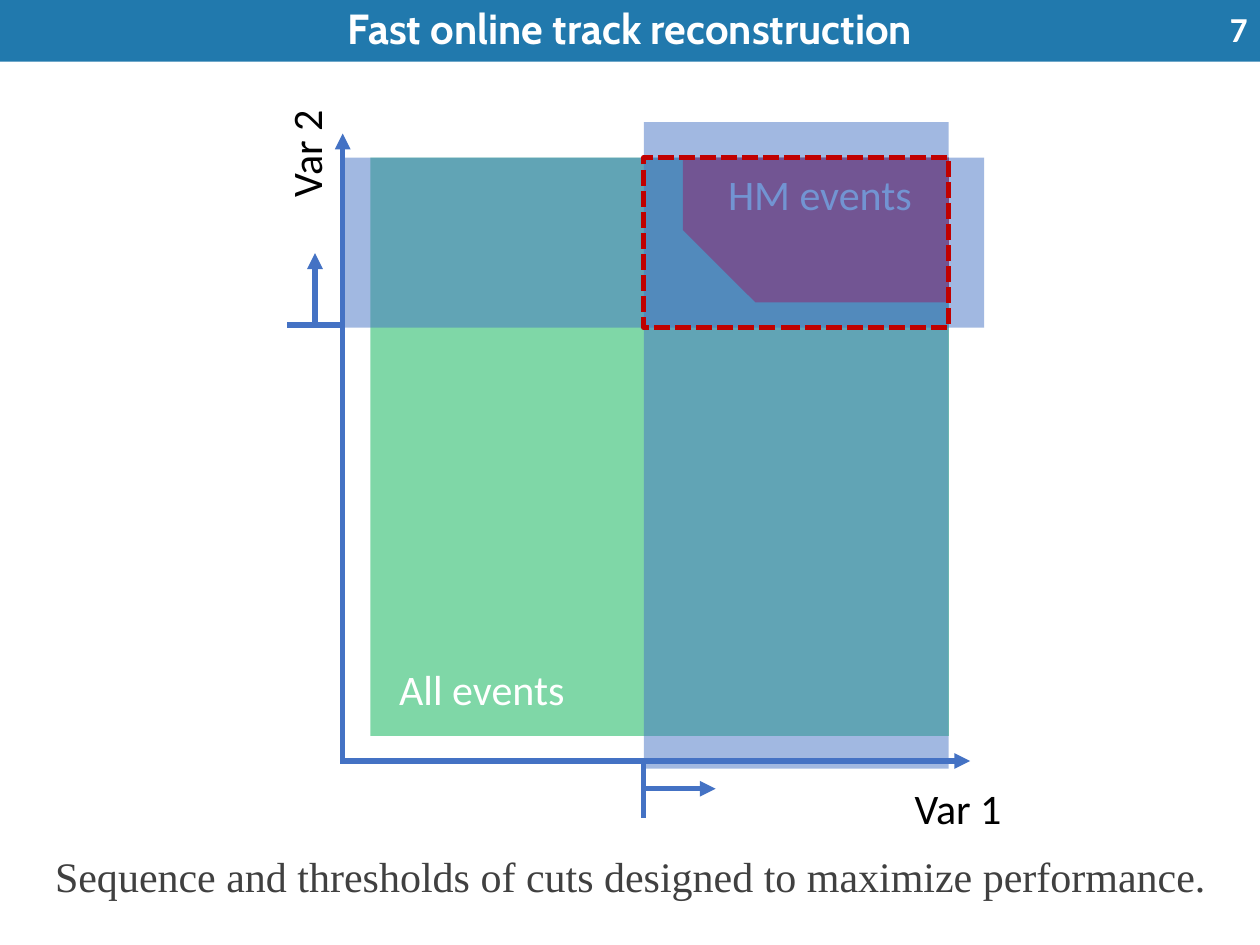
from lxml import etree
from pptx import Presentation
from pptx.dml.color import RGBColor
from pptx.enum.dml import MSO_LINE
from pptx.enum.shapes import MSO_CONNECTOR, MSO_SHAPE
from pptx.enum.text import MSO_ANCHOR, PP_ALIGN
from pptx.oxml.ns import qn
from pptx.util import Inches, Pt

RECT, SNIPPED = MSO_SHAPE.RECTANGLE, MSO_SHAPE.SNIP_1_RECTANGLE
STRAIGHT = MSO_CONNECTOR.STRAIGHT
SYS_DASH = MSO_LINE.SQUARE_DOT
LEFT, CENTER, RIGHT = PP_ALIGN.LEFT, PP_ALIGN.CENTER, PP_ALIGN.RIGHT
TOP, MIDDLE = MSO_ANCHOR.TOP, MSO_ANCHOR.MIDDLE

TITLE_BLUE, BLUE, GREEN = "2179AD", "4472C4", "00B050"
RED, DARK_RED = "FF0000", "C00000"
WHITE, BLACK, GREY = "FFFFFF", "000000", "404040"

AXIS_X, AXIS_Y = 2.72, 6.04
EVENTS_LEFT, EVENTS_TOP, EVENTS_SIDE = 2.94, 1.25, 4.59
EVENTS_RIGHT = EVENTS_LEFT + EVENTS_SIDE
CUT_1, CUT_2 = 5.11, 2.6
CUT_WIDTH, CUT_HEIGHT = EVENTS_RIGHT - CUT_1, CUT_2 - EVENTS_TOP
HM_WIDTH, HM_HEIGHT = 2.11, 1.15
ARROW = 0.57

HEADER = (0, 0, 10, 0.49)
ALL_EVENTS = (EVENTS_LEFT, EVENTS_TOP, EVENTS_SIDE, EVENTS_SIDE)
HM_EVENTS = (EVENTS_RIGHT - HM_WIDTH, EVENTS_TOP, HM_WIDTH, HM_HEIGHT)
VAR_2_BAND = (AXIS_X, EVENTS_TOP, 5.09, CUT_HEIGHT)
VAR_1_BAND = (CUT_1, 0.97, CUT_WIDTH, 5.13)
SELECTED = (CUT_1, EVENTS_TOP, CUT_WIDTH, CUT_HEIGHT)

AXES = [
    ((2.7, AXIS_Y), (7.7, AXIS_Y), True),
    ((AXIS_X, 6.06), (AXIS_X, 1.06), True),
]
THRESHOLDS = [
    ((CUT_1, 6.06), (CUT_1, 6.49), False),
    ((CUT_1, 6.26), (CUT_1 + ARROW, 6.26), True),
    ((2.28, 2.58), (2.71, 2.58), False),
    ((2.5, 2.58), (2.5, 2.58 - ARROW), True),
]


def color(hex_code):
    return RGBColor.from_string(hex_code)


def write(shape, text, font, size, hex_code, align=LEFT, anchor=TOP, bold=False):
    frame = shape.text_frame
    frame.word_wrap = True
    frame.vertical_anchor = anchor
    frame.text = text
    paragraph = frame.paragraphs[0]
    paragraph.alignment = align
    style = paragraph.runs[0].font
    style.name, style.size, style.bold = font, Pt(size), bold
    style.color.rgb = color(hex_code)
    return paragraph


def add_area(slide, box, fill, opacity=100, kind=RECT):
    area = slide.shapes.add_shape(kind, *map(Inches, box))
    area.shadow.inherit = False
    area.line.fill.background()
    area.fill.solid()
    area.fill.fore_color.rgb = color(fill)
    if opacity < 100:
        fill_color = area.fill._xPr.find(qn("a:solidFill"))[0]
        etree.SubElement(fill_color, qn("a:alpha")).set("val", str(opacity * 1000))
    return area


def add_label(slide, box, text, hex_code, font="Calibri", size=24, **style):
    label = slide.shapes.add_textbox(*map(Inches, box))
    write(label, text, font, size, hex_code, **style)
    return label


def add_lines(slide, lines):
    for start, end, arrow in lines:
        line = slide.shapes.add_connector(STRAIGHT, *map(Inches, start + end))
        line.line.color.rgb = color(BLUE)
        line.line.width = Pt(3)
        if arrow:
            head = etree.SubElement(line.line._get_or_add_ln(), qn("a:tailEnd"))
            head.set("type", "triangle")
        etree.SubElement(line._element.spPr, qn("a:effectLst"))


def main():
    deck = Presentation()
    deck.slide_width, deck.slide_height = Inches(10), Inches(7.5)
    slide = deck.slides.add_slide(deck.slide_layouts[6])

    header = add_area(slide, HEADER, TITLE_BLUE)
    title = write(header, "Fast online track reconstruction", "Cabin", 24, WHITE,
                  align=CENTER, anchor=MIDDLE, bold=True)
    title.line_spacing = 0.9
    add_label(slide, (9.51, 0.03, 0.49, 0.4), "7", WHITE, size=20,
              align=RIGHT, anchor=MIDDLE, bold=True)
    add_label(slide, (0.27, 6.7, 9.47, 0.52),
              "Sequence and thresholds of cuts designed to maximize performance.",
              GREY, font="Times New Roman", align=CENTER)

    add_lines(slide, AXES)
    add_area(slide, ALL_EVENTS, GREEN, 50)
    add_label(slide, (7.16, 6.16, 1.71, 0.5), "Var 1", BLACK)
    var_2 = add_label(slide, (1.89, 0.88, 1.07, 0.5), "Var 2", BLACK)
    var_2.rotation = 270
    add_label(slide, (3.07, 5.22, 2.13, 0.5), "All events", WHITE)

    hm_area = add_area(slide, HM_EVENTS, RED, kind=SNIPPED)
    hm_area.adjustments[0] = 0.5
    hm_area.rotation = 180
    add_label(slide, (5.68, 1.29, 2.13, 0.5), "HM events", WHITE)

    for band in (VAR_2_BAND, VAR_1_BAND):
        add_area(slide, band, BLUE, 50)
    selected = add_area(slide, SELECTED, WHITE)
    selected.fill.background()
    selected.line.color.rgb = color(DARK_RED)
    selected.line.width = Pt(3)
    selected.line.dash_style = SYS_DASH
    add_lines(slide, THRESHOLDS)

    deck.save("out.pptx")


if __name__ == "__main__":
    main()
